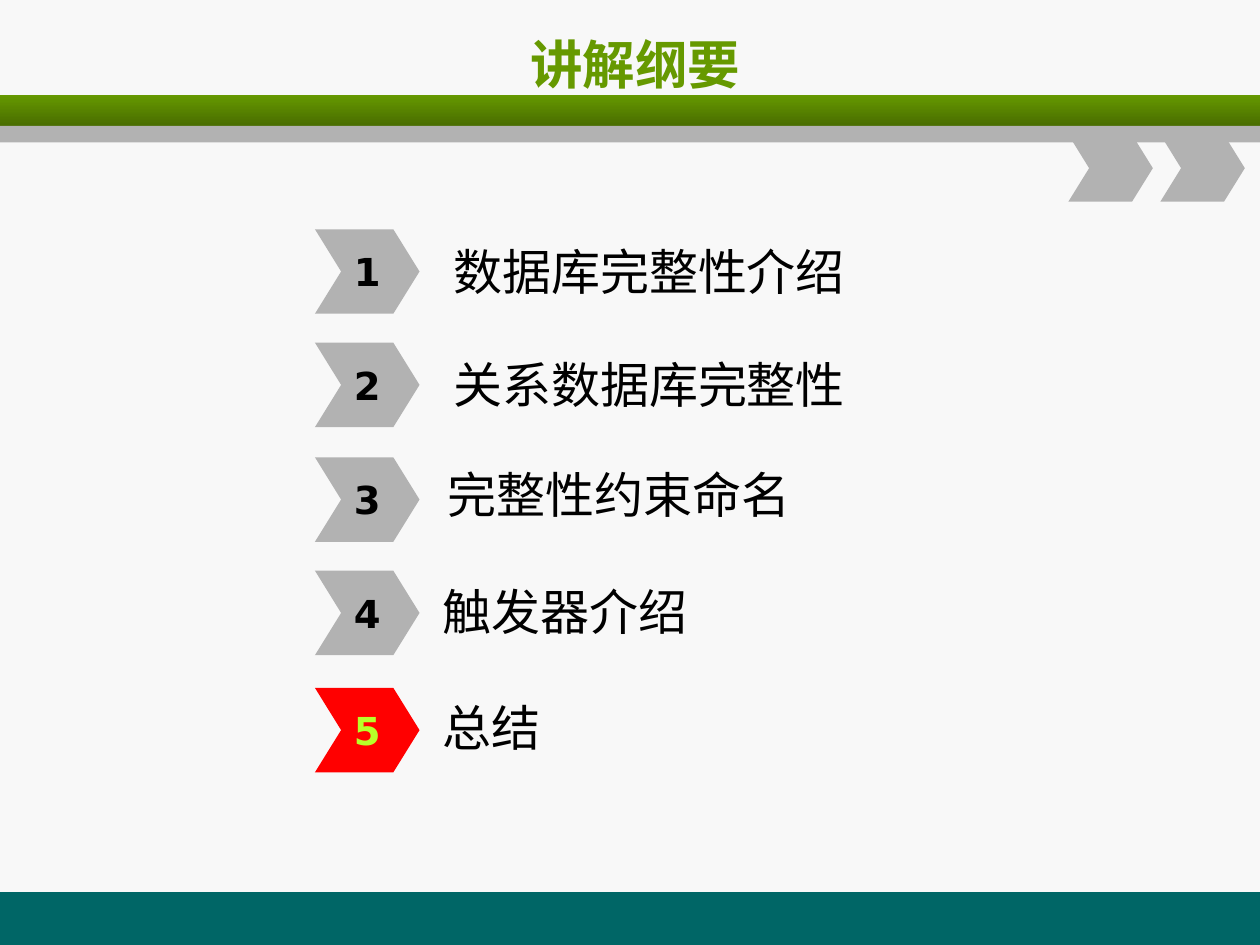
"""Build an outline slide with five numbered chevrons."""
import dataclasses

import pptx
import pptx.dml.color
import pptx.enum.shapes
import pptx.enum.text
import pptx.util

Inches = pptx.util.Inches
Shape = pptx.enum.shapes.MSO_SHAPE
Align = pptx.enum.text.PP_ALIGN
HUES = {
    "back": "F8F8F8",
    "teal": "006666",
    "green": "669900",
    "moss": "496D00",
    "gray": "B2B2B2",
    "red": "FF0000",
    "lime": "B8FF29",
    "black": "000000",
}
FONT = "DejaVu Sans"


@dataclasses.dataclass(frozen=True)
class Box:
    """Hold a place in inches."""

    left: float
    top: float
    width: float
    height: float

    def spans(self) -> list[int]:
        """Return the four lengths."""
        return [Inches(n) for n in dataclasses.astuple(self)]


@dataclasses.dataclass(frozen=True)
class Item:
    """Describe one line of the outline."""

    text: str
    top: float
    left: float
    line: float
    fill: str = "gray"
    ink: str = "black"


ITEMS = [
    Item("数据库完整性介绍", 1.82, 3.5, 1.86),
    Item("关系数据库完整性", 2.72, 3.5, 2.76),
    Item(" 完整性约束命名", 3.63, 3.37, 3.63),
    Item(" 触发器介绍", 4.53, 3.33, 4.56),
    Item(" 总结", 5.46, 3.33, 5.48, "red", "lime"),
]


def tint(name: str) -> pptx.dml.color.RGBColor:
    """Look up a colour."""
    return pptx.dml.color.RGBColor.from_string(HUES[name])


def draw(slide, kind, box: Box, fill: str, end: str = ""):
    """Add a shape with a plain fill or a fade from top to bottom."""
    shape = slide.shapes.add_shape(kind, *box.spans())
    shape.shadow.inherit = False
    shape.line.fill.background()
    if end:
        shape.fill.gradient()
        shape.fill.gradient_angle = 270
        for stop, name, place in zip(shape.fill.gradient_stops, (fill, end), (0, 1)):
            stop.color.rgb = tint(name)
            stop.position = place
    else:
        shape.fill.solid()
        shape.fill.fore_color.rgb = tint(fill)
    return shape


def arrow(slide, box: Box, fill: str, notch: float):
    """Add a chevron."""
    shape = draw(slide, Shape.CHEVRON, box, fill)
    shape.adjustments[0] = notch
    return shape


def write(shape, text: str, *, size: float, ink: str = "black", bold: bool = False,
          align=Align.LEFT, wrap: bool = True) -> None:
    """Put formatted text in a shape."""
    frame = shape.text_frame
    frame.word_wrap = wrap
    frame.vertical_anchor = pptx.enum.text.MSO_ANCHOR.MIDDLE
    para = frame.paragraphs[0]
    para.alignment = align
    run = para.add_run()
    run.text = text
    run.font.name = FONT
    run.font.size = pptx.util.Pt(size)
    run.font.bold = bold
    run.font.color.rgb = tint(ink)


def frame(slide) -> None:
    """Draw the bands and the corner chevrons."""
    draw(slide, Shape.RECTANGLE, Box(0, 7.08, 10, 0.42), "teal")
    draw(slide, Shape.RECTANGLE, Box(0, 0.75, 10, 0.25), "green", "moss")
    draw(slide, Shape.RECTANGLE, Box(0, 1, 10, 0.13), "gray")
    for left in (8.48, 9.21):
        arrow(slide, Box(left, 1.07, 0.67, 0.53), "gray", 0.31)


def entry(slide, rank: int, item: Item) -> None:
    """Draw one numbered line."""
    label = slide.shapes.add_textbox(*Box(item.left, item.line, 5.92, 0.58).spans())
    write(label, item.text, size=28)
    badge = arrow(slide, Box(2.5, item.top, 0.83, 0.67), item.fill, 0.31)
    write(badge, str(rank), size=22, ink=item.ink, bold=True,
          align=Align.CENTER, wrap=False)


def main() -> None:
    """Build and save the slide."""
    deck = pptx.Presentation()
    deck.slide_width, deck.slide_height = Inches(10), Inches(7.5)
    slide = deck.slides.add_slide(deck.slide_layouts[6])
    slide.background.fill.solid()
    slide.background.fill.fore_color.rgb = tint("back")
    frame(slide)
    title = slide.shapes.add_textbox(*Box(0.54, 0.17, 9, 0.67).spans())
    write(title, "讲解纲要", size=30, ink="green", bold=True, align=Align.CENTER)
    for rank, item in enumerate(ITEMS, 1):
        entry(slide, rank, item)
    deck.save("out.pptx")


if __name__ == "__main__":
    main()
